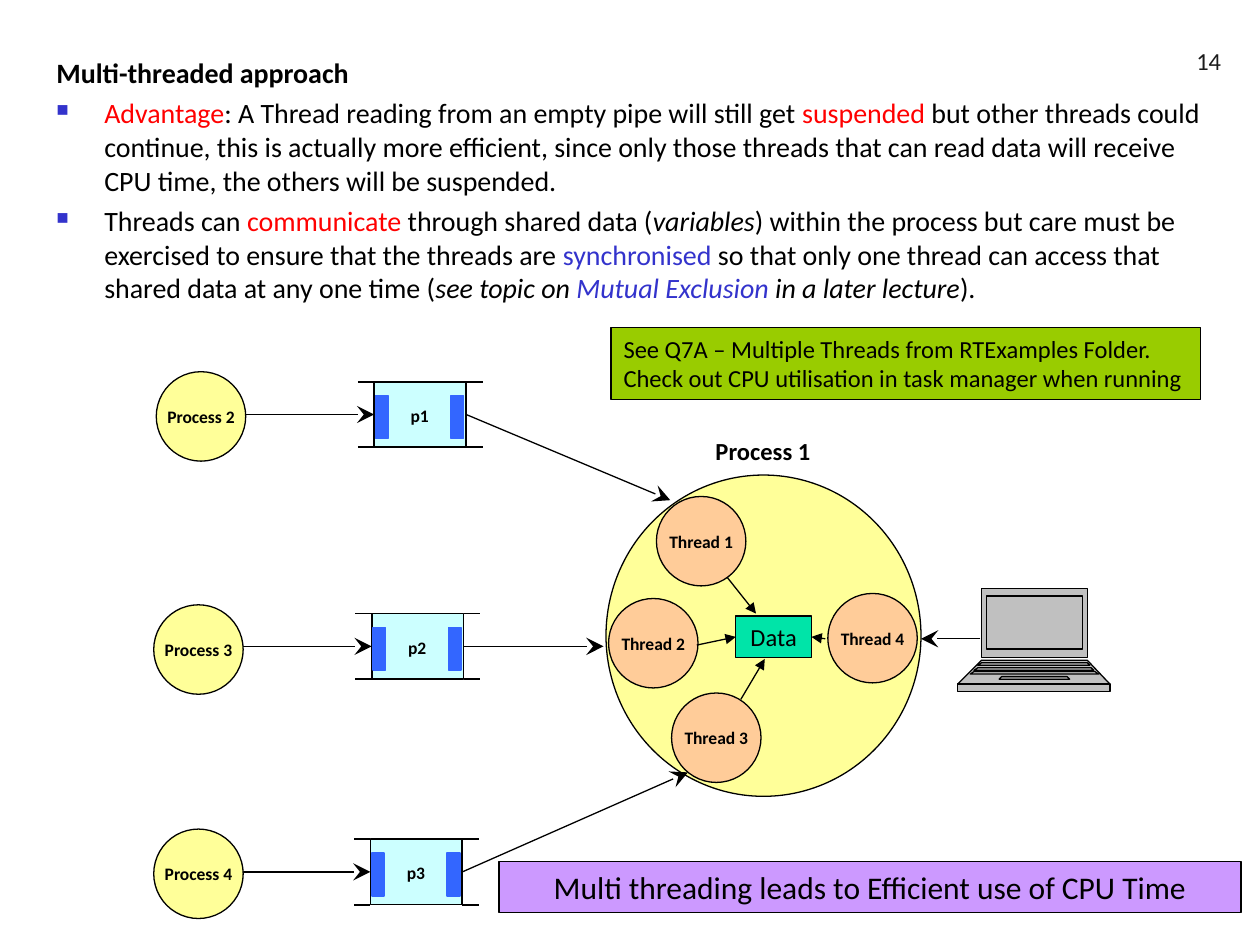
from dataclasses import dataclass
from typing import NamedTuple

from lxml.etree import SubElement
from pptx import Presentation
from pptx.dml.color import RGBColor as Color
from pptx.enum.shapes import MSO_CONNECTOR as Connector, MSO_SHAPE as Preset
from pptx.enum.text import MSO_ANCHOR as Anchor, PP_ALIGN as Align
from pptx.oxml.ns import qn
from pptx.util import Inches, Pt


@dataclass(frozen=True)
class Theme:
    font: str = "Calibri"
    black: str = "000000"
    number: str = "1C1C1C"
    red: str = "FF0000"
    blue: str = "3333CC"
    process: str = "FFFF99"
    thread: str = "FFCC99"
    pipe: str = "CCFFFF"
    cap: str = "3366FF"
    data: str = "00E4A8"
    laptop: str = "C0C0C0"
    note: str = "99CC00"
    banner: str = "CC99FF"
    label_size: int = 10
    note_size: int = 14
    body_size: int = 16
    banner_size: int = 18
    thin: float = 0.75
    thick: float = 1


class Area(NamedTuple):
    left: float
    top: float
    width: float
    height: float


class Point(NamedTuple):
    x: float
    y: float


class Span(NamedTuple):
    text: str
    color: str = "000000"
    italic: bool = False


class Channel(NamedTuple):
    process: str
    label: str
    process_at: Point
    pipe_at: Point
    target: Point


class Worker(NamedTuple):
    label: str
    at: Point
    start: Point
    end: Point
    data_side: int | None


class Slab(NamedTuple):
    top: float
    bottom: float
    top_left: float
    top_right: float
    bottom_left: float
    bottom_right: float


THEME = Theme()
COLUMNS, ROWS = 100, 75
CELL = Inches(10) // COLUMNS
CIRCLE = 7.1
PIPE_WIDTH, PIPE_HEIGHT, RAIL = 7.3, 5.2, 1.3

CHANNELS = [
    Channel("Process 2", "p1", Point(12.4, 29.5), Point(29.7, 30.3), Point(53.2, 39.7)),
    Channel("Process 3", "p2", Point(12.2, 48), Point(29.5, 48.7), Point(47.9, 51.3)),
    Channel("Process 4", "p3", Point(12.2, 65.8), Point(29.4, 66.6), Point(54.6, 61.3)),
]
WORKERS = [
    Worker("Thread 1", Point(52.1, 39.4), Point(57.7, 45.8), Point(60, 48.7), None),
    Worker("Thread 3", Point(53.3, 55), Point(58.8, 55.5), Point(60.7, 52.3), None),
    Worker("Thread 2", Point(48.3, 47.5), Point(55.3, 51.2), Point(58.3, 50.8), 1),
    Worker("Thread 4", Point(65.7, 47.1), Point(65.5, 50.7), Point(64.5, 50.7), 3),
]
LAPTOP = [
    Slab(46.7, 52.2, 77.9, 86.3, 77.9, 86.3),
    Slab(52.4, 54.3, 77.9, 86.3, 76, 88.1),
    Slab(54.3, 54.9, 76, 88.1, 76, 88.1),
    Slab(47.3, 51.5, 78.3, 85.9, 78.3, 85.9),
    Slab(52.6, 52.8, 77.9, 86.3, 77.6, 86.5),
    Slab(53.7, 53.9, 79.5, 84.7, 79.3, 84.9),
    Slab(53, 53.2, 77.6, 86.6, 77.3, 86.8),
    Slab(53.3, 53.5, 77.3, 86.9, 77, 87.2),
]
HEADING = "Multi-threaded approach"
BULLETS = [
    [
        Span("Advantage", THEME.red),
        Span(": A Thread reading from an empty pipe will still get "),
        Span("suspended", THEME.red),
        Span(" but other threads could continue, this is actually more efficient, since only those "
             "threads that can read data will receive CPU time, the others will be suspended."),
    ],
    [
        Span("Threads can "),
        Span("communicate", THEME.red),
        Span(" through shared data ("),
        Span("variables", italic=True),
        Span(") within the process but care must be exercised to ensure that the threads are "),
        Span("synchronised", THEME.blue),
        Span(" so that only one thread can access that shared data at any one time ("),
        Span("see topic on ", italic=True),
        Span("Mutual Exclusion", THEME.blue, True),
        Span(" in a later lecture", italic=True),
        Span(")."),
    ],
]
NOTE = ["See Q7A – Multiple Threads from RTExamples Folder.",
        "Check out CPU utilisation in task manager when running"]


def cells(*values: float) -> list[int]:
    return [round(value * CELL) for value in values]


def set_font(para, size: float, bold: bool = False, color: str = THEME.black) -> None:
    para.font.name, para.font.size, para.font.bold = THEME.font, Pt(size), bold
    para.font.color.rgb = Color.from_string(color)


def paint(shape, fill: str, line: str = THEME.black, width: float = THEME.thin) -> None:
    shape.shadow.inherit = False
    shape.fill.solid()
    shape.fill.fore_color.rgb = Color.from_string(fill)
    shape.line.color.rgb = Color.from_string(line)
    shape.line.width = Pt(width)


def add_block(page, preset, area: Area, fill: str, line: str = THEME.black,
              width: float = THEME.thin):
    shape = page.shapes.add_shape(preset, *cells(*area))
    paint(shape, fill, line, width)
    return shape


def write(shape, lines: list[str], size: float, bold: bool = False, align=Align.CENTER,
          anchor=Anchor.MIDDLE, wrap: bool = False, color: str = THEME.black) -> None:
    frame = shape.text_frame
    frame.word_wrap, frame.vertical_anchor = wrap, anchor
    para = frame.paragraphs[0]
    para.alignment = align
    for index, line in enumerate(lines):
        if index:
            para.add_line_break()
        para.add_run().text = line
    set_font(para, size, bold, color)


def add_label(page, area: Area, text: str, size: float, **style) -> None:
    write(page.shapes.add_textbox(*cells(*area)), [text], size, wrap=True, **style)


def add_line(page, start: Point, end: Point, width: float = THEME.thin, head: str = ""):
    line = page.shapes.add_connector(Connector.STRAIGHT, *cells(*start, *end))
    line.line.color.rgb = Color.from_string(THEME.black)
    line.line.width = Pt(width)
    if head:
        scale = "lg" if head == "stealth" else "med"
        SubElement(line.line._get_or_add_ln(), qn("a:tailEnd"), type=head, w=scale, len=scale)
    SubElement(line._element.spPr, qn("a:effectLst"))
    return line


def add_circle(page, at: Point, text: str, fill: str) -> None:
    circle = add_block(page, Preset.OVAL, Area(*at, CIRCLE, CIRCLE), fill)
    write(circle, [text], THEME.label_size, bold=True)


def add_pipe(page, channel: Channel):
    left, top = channel.pipe_at
    right, bottom = left + PIPE_WIDTH, top + PIPE_HEIGHT
    pipe = add_block(page, Preset.RECTANGLE, Area(left, top, PIPE_WIDTH, PIPE_HEIGHT),
                     THEME.pipe, width=THEME.thick)
    for offset in (0.1, 6.1):
        add_block(page, Preset.RECTANGLE, Area(left + offset, top + 1.1, 1, 3.4),
                  THEME.cap, THEME.cap, THEME.thick)
    for y in (top, bottom):
        for x in (left - RAIL, right):
            add_line(page, Point(x, y), Point(x + RAIL, y), THEME.thick)
    add_label(page, Area(left + 1.9, top + 1.35, 4.1, 2.7), channel.label, THEME.label_size,
              bold=True, align=Align.LEFT, anchor=Anchor.TOP)
    middle = top + PIPE_HEIGHT / 2
    arrow = add_line(page, Point(channel.process_at.x + CIRCLE / 2, middle), Point(left, middle),
                     THEME.thick, "stealth")
    arrow.end_connect(pipe, 1)
    add_circle(page, channel.process_at, channel.process, THEME.process)
    return pipe


def add_laptop(page) -> None:
    group = page.shapes.add_group_shape()
    for slab in LAPTOP:
        corners = [(slab.top_right, slab.top), (slab.bottom_right, slab.bottom),
                   (slab.bottom_left, slab.bottom)]
        outline = group.shapes.build_freeform(*cells(slab.top_left, slab.top))
        outline.add_line_segments([cells(*corner) for corner in corners], close=True)
        paint(outline.convert_to_shape(), THEME.laptop)


def add_body(page) -> None:
    frame = page.shapes.add_textbox(*cells(3.5, 3.9, 94.4, 69.1)).text_frame
    frame.word_wrap = True
    frame.text = HEADING
    set_font(frame.paragraphs[0], THEME.body_size, bold=True)
    for spans in BULLETS:
        para = frame.add_paragraph()
        para.space_before = Pt(4)
        properties = para._p.get_or_add_pPr()
        indent = Inches(0.38)
        properties.set("marL", str(indent))
        properties.set("indent", str(-indent))
        SubElement(SubElement(properties, qn("a:buClr")), qn("a:srgbClr"), val=THEME.blue)
        SubElement(properties, qn("a:buSzPct"), val="60000")
        SubElement(properties, qn("a:buChar"), char="■")
        set_font(para, THEME.body_size)
        for span in spans:
            run = para.add_run()
            run.text, run.font.italic = span.text, span.italic
            run.font.color.rgb = Color.from_string(span.color)


def main() -> None:
    deck = Presentation()
    deck.slide_width, deck.slide_height = COLUMNS * CELL, ROWS * CELL
    page = deck.slides.add_slide(deck.slide_layouts[6])
    add_label(page, Area(77.1, 1.5, 20.8, 5), "14", THEME.note_size, align=Align.RIGHT,
              anchor=Anchor.BOTTOM, color=THEME.number)
    add_body(page)
    pipes = [add_pipe(page, channel) for channel in CHANNELS]
    add_block(page, Preset.OVAL, Area(48.1, 37.7, 25, 25.5), THEME.process)
    for channel, pipe in zip(CHANNELS, pipes):
        add_line(page, channel.pipe_at, channel.target, head="stealth").begin_connect(pipe, 3)
    add_label(page, Area(55.8, 34.1, 12.5, 3.4), "Process 1", THEME.note_size, bold=True,
              align=Align.LEFT, anchor=Anchor.TOP)
    add_line(page, Point(77.8, 50.7), Point(73.1, 50.7), head="stealth")
    add_laptop(page)
    data = add_block(page, Preset.RECTANGLE, Area(58.4, 48.9, 6, 3.3), THEME.data)
    write(data, ["Data"], THEME.note_size)
    for worker in WORKERS:
        add_circle(page, worker.at, worker.label, THEME.thread)
        arrow = add_line(page, worker.start, worker.end, head="triangle")
        if worker.data_side is not None:
            arrow.end_connect(data, worker.data_side)
    banner = add_block(page, Preset.RECTANGLE, Area(39.6, 68.4, 58.9, 4), THEME.banner)
    write(banner, ["Multi threading leads to Efficient use of CPU Time"], THEME.banner_size)
    note = add_block(page, Preset.RECTANGLE, Area(48.5, 26, 46.8, 5.7), THEME.note)
    write(note, NOTE, THEME.note_size, align=Align.LEFT, anchor=Anchor.TOP, wrap=True)
    deck.save("out.pptx")


if __name__ == "__main__":
    main()
